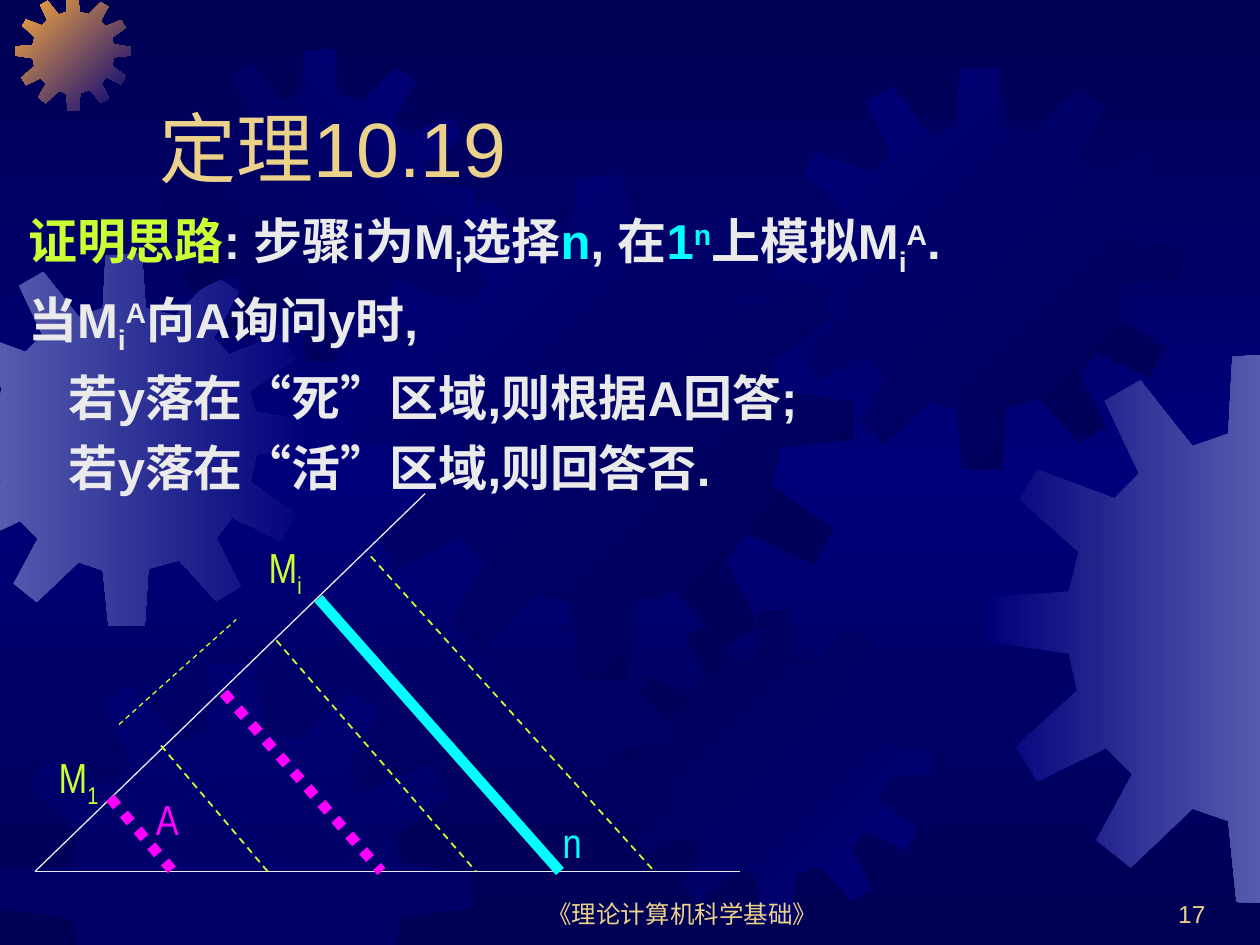
from lxml.etree import SubElement
from pptx import Presentation
from pptx.dml.color import RGBColor
from pptx.enum.dml import MSO_LINE as DASH
from pptx.enum.shapes import MSO_CONNECTOR as CONN
from pptx.enum.text import MSO_ANCHOR as ANCHOR, MSO_AUTO_SIZE as AUTO, PP_ALIGN as ALIGN
from pptx.oxml.ns import qn
from pptx.util import Pt

WIDTH, HEIGHT = 720, 540
NAVY, BLUE, STEEL, ORANGE = "000054", "00007A", "555BAD", "FCAB40"
SAND, WHITE, LIME, CYAN, PINK = "EBD189", "EAEAEA", "CCFF33", "00FFFF", "FF00FF"
SUB, SUP = -25, 30

# Gear outline on a 401-unit square
GEAR_SIZE = 401
GEAR = [(255, 67), (223, 59), (219, 0), (180, 3), (177, 59), (151, 68), (113, 20), (87, 35),
        (112, 88), (94, 106), (38, 85), (25, 107), (68, 145), (61, 174), (1, 178), (0, 210),
        (61, 219), (67, 246), (22, 287), (38, 312), (88, 288), (107, 307), (81, 355), (106, 375),
        (151, 332), (177, 341), (183, 400), (222, 401), (226, 339), (259, 330), (299, 374),
        (325, 358), (299, 306), (316, 284), (368, 309), (384, 281), (336, 246), (342, 216),
        (401, 210), (400, 180), (341, 171), (335, 148), (383, 114), (367, 87), (313, 109),
        (296, 91), (323, 41), (297, 25)]


def rgb(value):
    return RGBColor.from_string(value)


def clip(points, axis, limit, sign):
    """Keep the part of a polygon on one side of an axis-parallel line."""
    kept = []
    for a, b in zip(points, points[1:] + points[:1]):
        da, db = sign * (a[axis] - limit), sign * (b[axis] - limit)
        if da >= 0:
            kept.append(a)
        if da * db < 0:
            t = da / (da - db)
            kept.append((a[0] + t * (b[0] - a[0]), a[1] + t * (b[1] - a[1])))
    return kept


def gradient(fill, element, colors, angle):
    """Evenly spaced stops; the angle runs clockwise."""
    fill.gradient()
    fill.gradient_angle = (360 - angle) % 360
    stops = element.find(".//" + qn("a:gsLst"))
    for stop in list(stops):
        stops.remove(stop)
    for i, color in enumerate(colors):
        stop = SubElement(stops, qn("a:gs"), pos=str(100000 * i // (len(colors) - 1)))
        SubElement(stop, qn("a:srgbClr"), val=color)


def add_run(p, text, size=28, color=WHITE, font="Arial", bold=False, base=0):
    r = p.add_run()
    r.text = text
    r.font.size, r.font.name, r.font.bold = Pt(size), font, bold
    r.font.color.rgb = rgb(color)
    if base:
        r.font._element.set("baseline", str(base * 1000))


class Deck:
    def __init__(self):
        self.prs = Presentation()
        self.prs.slide_width, self.prs.slide_height = Pt(WIDTH), Pt(HEIGHT)
        self.s = self.prs.slides.add_slide(self.prs.slide_layouts[5])
        gradient(self.s.background.fill, self.s.element, [NAVY, BLUE, NAVY], 90)

    def gear(self, x, y, size, colors, angle=0, alpha=None):
        k = size / GEAR_SIZE
        points = [(x + k * u, y + k * v) for u, v in GEAR]
        for edge in ((0, 0, 1), (0, WIDTH, -1), (1, 0, 1), (1, HEIGHT, -1)):
            points = clip(points, *edge)
        points = [(Pt(u), Pt(v)) for u, v in points]
        builder = self.s.shapes.build_freeform(*points[0], scale=1.0)
        builder.add_line_segments(points[1:], close=True)
        sp = builder.convert_to_shape()
        sp.shadow.inherit = False
        sp.line.fill.background()
        if alpha is None:
            gradient(sp.fill, sp.element, colors, angle)
        else:
            sp.fill.solid()
            sp.fill.fore_color.rgb = rgb(colors[0])
            color = sp.element.spPr.find(".//" + qn("a:srgbClr"))
            SubElement(color, qn("a:alpha"), val=str(alpha * 1000))

    def line(self, x1, y1, x2, y2, color, width, dash=None):
        sp = self.s.shapes.add_connector(CONN.STRAIGHT, Pt(x1), Pt(y1), Pt(x2), Pt(y2))
        sp.line.color.rgb = rgb(color)
        sp.line.width = Pt(width)
        if dash:
            sp.line.dash_style = dash
        SubElement(sp.element.spPr, qn("a:effectLst"))

    def text(self, x, y, w, h, paragraphs, align=ALIGN.LEFT, anchor=ANCHOR.TOP,
             before=0, title=False, **style):
        """Each paragraph is (indent, [(text, format), ...])."""
        if title:
            sp = self.s.shapes.title
            sp.element.getparent().append(sp.element)
        else:
            sp = self.s.shapes.add_textbox(0, 0, 0, 0)
        sp.left, sp.top, sp.width, sp.height = Pt(x), Pt(y), Pt(w), Pt(h)
        tf = sp.text_frame
        tf.word_wrap, tf.auto_size, tf.vertical_anchor = True, AUTO.NONE, anchor
        for i, (indent, runs) in enumerate(paragraphs):
            p = tf.add_paragraph() if i else tf.paragraphs[0]
            p.alignment, p.space_before = align, Pt(before)
            if indent:
                p._p.get_or_add_pPr().set("marL", str(Pt(indent)))
            for words, extra in runs:
                add_run(p, words, **{**style, **extra})

    def label(self, x, y, w, color, name, index=""):
        runs = [(name, {})] + ([(index, {"base": SUB})] if index else [])
        self.text(x, y, w, 36, [(0, runs)], size=24, font="Arial Narrow", color=color)


deck = Deck()

# Background gears
deck.gear(-35.3, 144.7, 213.2, [STEEL, BLUE])
deck.gear(8.6, -2.9, 66.2, [ORANGE, BLUE], 45)
deck.gear(93.6, 28, 178.6, [NAVY, BLUE], 315)
deck.gear(199.4, 100, 288.8, [BLUE, NAVY], 45)
deck.gear(0, 378, 269.3, [BLUE], alpha=50)
deck.gear(353.5, 348.5, 178.6, [NAVY, BLUE], 45)
deck.gear(445, 38.2, 230.4, [BLUE, NAVY], 45)
deck.gear(563, 201.6, 314.6, [BLUE, STEEL])

# Footer and page number
footer = dict(anchor=ANCHOR.BOTTOM, size=14, color=SAND)
deck.text(276, 498, 228, 36, [(0, [("《理论计算机科学基础》", {})])], align=ALIGN.CENTER, **footer)
deck.text(546, 498, 150, 36, [(0, [("17", {})])], align=ALIGN.RIGHT, **footer)

# Title
deck.text(84, 24, 612, 90, [(0, [("定理10.19", {})])], title=True,
          anchor=ANCHOR.BOTTOM, size=44, color=SAND)

# Proof idea
oracle_machine = [("M", {}), ("i", {"base": SUB}), ("A", {"base": SUP})]
deck.text(9, 117, 612, 234, [
    (0, [("证明思路", {"color": LIME}), (": 步骤i为M", {}), ("i", {"base": SUB}), ("选择", {}),
         ("n", {"color": CYAN}), (", 在", {}), ("1", {"color": CYAN}),
         ("n", {"color": CYAN, "base": SUP}), ("上模拟", {}), *oracle_machine, (".", {})]),
    (0, [("当", {}), *oracle_machine, ("向A询问y时,", {})]),
    (23.3, [("若y落在“死”区域,则根据A回答;", {})]),
    (23.3, [("若y落在“活”区域,则回答否.", {})]),
], before=6.5, bold=True)

# Axes
BASE = 498
deck.line(243, 282, 20, BASE, WHITE, 0.75)
deck.line(20, BASE, 423, BASE, WHITE, 0.75)

# Region borders, down to the base line
for x1, y1, x2, color, width, dash in [
    (63, 456, 99, PINK, 6, DASH.ROUND_DOT),
    (92, 426, 153, LIME, 1, DASH.DASH),
    (158, 366, 272, LIME, 1, DASH.DASH),
    (212, 318, 374, LIME, 1, DASH.DASH),
    (182, 342, 320, CYAN, 6, None),
    (128, 396, 218, PINK, 6, DASH.ROUND_DOT),
]:
    deck.line(x1, y1, x2, BASE, color, width, dash)
deck.line(68, 414, 135, 354, LIME, 0.75, DASH.DASH)

# Labels
deck.label(82, 450, 30, PINK, "A")
deck.label(26.5, 426, 42, LIME, "M", "1")
deck.label(146.5, 306, 42, LIME, "M", "i")
deck.label(314.5, 463, 30, CYAN, "n")

deck.prs.save("out.pptx")
